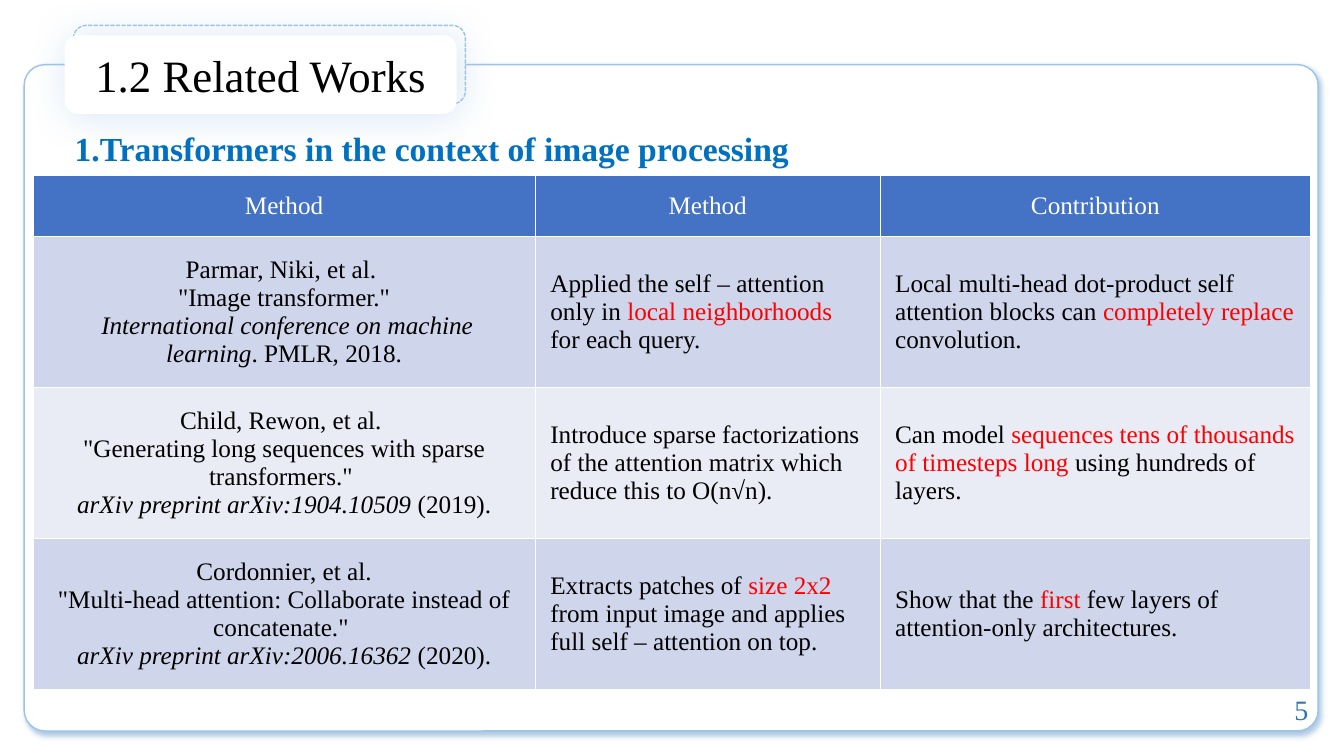
"""Build the related works slide on transformers in image processing."""
from lxml.etree import SubElement
from pptx import Presentation
from pptx.dml.color import RGBColor
from pptx.enum.dml import MSO_LINE
from pptx.enum.shapes import MSO_SHAPE
from pptx.enum.text import MSO_ANCHOR, PP_ALIGN
from pptx.oxml.ns import qn
from pptx.util import Cm, Pt

TITLE = "1.2 Related Works"
TOPIC = "1.Transformers in the context of image processing"
PAGE = "5"
HEADINGS = ("Method", "Method", "Contribution")
WORKS = [
    (
        '''Parmar, Niki, et al. 
"Image transformer."
 |International conference on machine learning|. PMLR, 2018.''',
        "Applied the self – attention\nonly in |local neighborhoods|\nfor each query.",
        "Local multi-head dot-product self\nattention blocks can |completely replace|\nconvolution.",
    ),
    (
        '''Child, Rewon, et al. 
"Generating long sequences with sparse transformers." 
|arXiv preprint arXiv:1904.10509| (2019).''',
        "Introduce sparse factorizations\nof the attention matrix which\nreduce this to O(n√n).",
        "Can model |sequences tens of thousands|\n|of timesteps long |using hundreds of\nlayers.",
    ),
    (
        '''Cordonnier, et al.
"Multi-head attention: Collaborate instead of concatenate." 
|arXiv preprint arXiv:2006.16362| (2020).''',
        "Extracts patches of |size 2x2|\nfrom input image and applies\nfull self – attention on top.",
        "Show that the |first| few layers of\nattention-only architectures.",
    ),
]

COLORS = {
    "white": "FFFFFF", "black": "000000", "red": "FF0000", "outline": "9DC3E6",
    "shade": "2E75B6", "topic": "0070C0", "heading": "4472C4",
    "odd": "CFD5EA", "even": "E9EBF5",
}
FONT = "Times New Roman"
COLUMN_WIDTHS = (12.66, 8.69, 10.85)
HEADING_HEIGHT, WORK_HEIGHT = 1.53, 3.81
CELL_MARGIN = Cm(0.38)


def rgb(name):
    return RGBColor.from_string(COLORS[name])


def style(font, size, color, bold=False, italic=False):
    font.name, font.size, font.bold, font.italic = FONT, Pt(size), bold, italic
    font.color.rgb = rgb(color)


def write(frame, text, size, color, align=PP_ALIGN.LEFT, bold=False, accent=None):
    """Write text; pieces between bars take the accent formatting."""
    frame.text = text
    for paragraph in frame.paragraphs:
        pieces = paragraph.text.split("|")
        paragraph.text = ""
        paragraph.alignment = align
        for index, piece in enumerate(pieces):
            if piece:
                run = paragraph.add_run()
                run.text = piece
                style(run.font, size, color, bold)
                if index % 2 and accent == "italic":
                    run.font.italic = True
                elif index % 2:
                    run.font.color.rgb = rgb(accent)


def add_card(shapes, place, outline=None, shadow=None, blur=0):
    card = shapes.add_shape(MSO_SHAPE.ROUNDED_RECTANGLE, *map(Cm, place))
    card.shadow.inherit = False
    card.fill.solid()
    card.fill.fore_color.rgb = rgb("white")
    if outline:
        card.line.color.rgb = rgb(outline)
        card.line.width = Pt(1)
    else:
        card.line.fill.background()
    if shadow:
        effects = card.element.spPr.find(qn("a:effectLst"))
        outer = SubElement(effects, qn("a:outerShdw"), blurRad=str(Pt(blur)),
                           dist=str(Pt(3)), dir="2700000", algn="tl", rotWithShape="0")
        tint = SubElement(outer, qn("a:srgbClr"), val=COLORS[shadow])
        SubElement(tint, qn("a:alpha"), val="40000")
    return card


def add_label(shapes, place, text, size, color, align, anchor, bold=False):
    frame = shapes.add_textbox(*map(Cm, place)).text_frame
    frame.word_wrap = True
    frame.vertical_anchor = anchor
    write(frame, text, size, color, align, bold)


def fill_cell(cell, text, fill, color, align, accent=None):
    cell.margin_left = cell.margin_right = CELL_MARGIN
    cell.margin_top = cell.margin_bottom = CELL_MARGIN
    cell.vertical_anchor = MSO_ANCHOR.MIDDLE
    write(cell.text_frame, text, 18, color, align, accent=accent)
    properties = cell._tc.get_or_add_tcPr()
    for side in ("lnL", "lnR", "lnT", "lnB"):
        border = SubElement(properties, qn(f"a:{side}"), w=str(Pt(1)))
        paint = SubElement(border, qn("a:solidFill"))
        SubElement(paint, qn("a:srgbClr"), val=COLORS["white"])
    cell.fill.solid()
    cell.fill.fore_color.rgb = rgb(fill)


def add_works(shapes):
    height = HEADING_HEIGHT + WORK_HEIGHT * len(WORKS)
    place = map(Cm, (0.83, 4.42, sum(COLUMN_WIDTHS), height))
    works = shapes.add_table(len(WORKS) + 1, len(HEADINGS), *place).table
    works.first_row = works.horz_banding = False
    for column, width in zip(works.columns, COLUMN_WIDTHS):
        column.width = Cm(width)
    for number, texts in enumerate([HEADINGS, *WORKS]):
        works.rows[number].height = Cm(WORK_HEIGHT if number else HEADING_HEIGHT)
        for position, text in enumerate(texts):
            cell = works.cell(number, position)
            if number == 0:
                fill_cell(cell, text, "heading", "white", PP_ALIGN.CENTER)
            else:
                fill_cell(cell, text, "odd" if number % 2 else "even", "black",
                          PP_ALIGN.LEFT if position else PP_ALIGN.CENTER,
                          "red" if position else "italic")


def main():
    deck = Presentation()
    deck.slide_width, deck.slide_height = Cm(33.87), Cm(19.05)
    shapes = deck.slides.add_slide(deck.slide_layouts[6]).shapes

    frame = shapes.add_group_shape().shapes
    panel = add_card(frame, (0.61, 1.63, 32.61, 16.79), "outline", "shade", 4)
    panel.adjustments[0] = 0.031
    backing = add_card(frame, (1.85, 0.64, 9.88, 1.98), "outline")
    backing.line.dash_style = MSO_LINE.SQUARE_DOT
    title = add_card(frame, (1.63, 0.89, 9.88, 1.98), shadow="outline", blur=28)
    title.text_frame.vertical_anchor = MSO_ANCHOR.MIDDLE
    write(title.text_frame, TITLE, 32, "black", PP_ALIGN.CENTER)

    add_label(shapes, (25.6, 17.37, 7.62, 1.02), PAGE, 20, "shade",
              PP_ALIGN.RIGHT, MSO_ANCHOR.MIDDLE)
    add_label(shapes, (1.63, 3.1, 22.25, 1.27), TOPIC, 24, "topic",
              PP_ALIGN.LEFT, MSO_ANCHOR.TOP, bold=True)
    add_works(shapes)
    deck.save("out.pptx")


if __name__ == "__main__":
    main()
